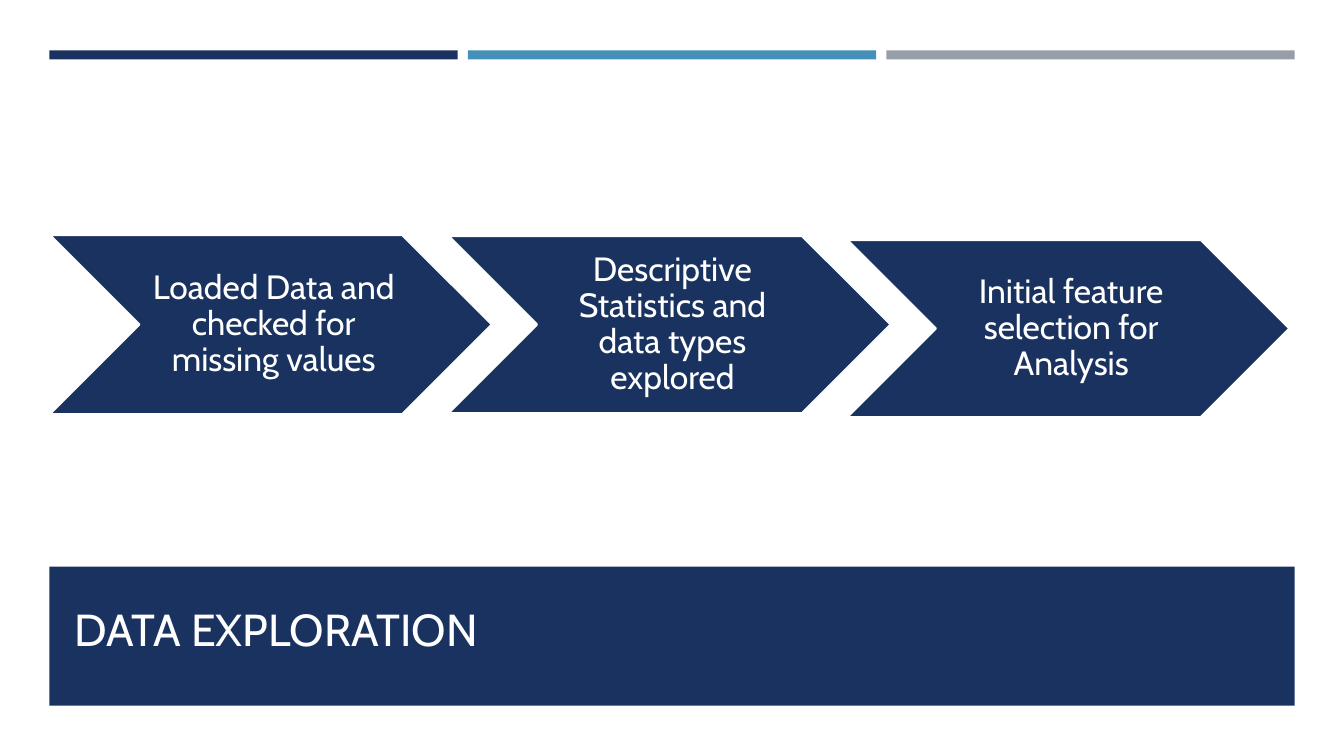
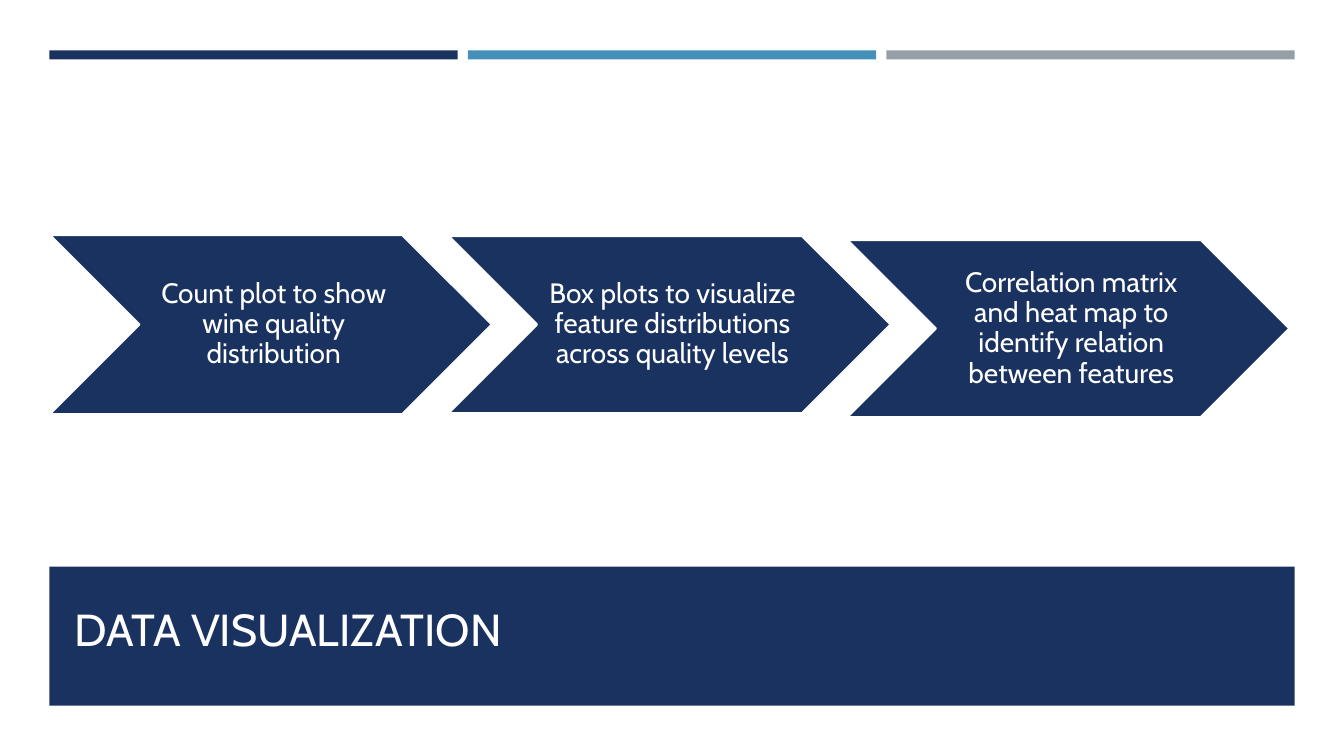
from pptx import Presentation
from pptx.dml.color import RGBColor
from pptx.enum.shapes import MSO_SHAPE
from pptx.enum.text import MSO_ANCHOR, MSO_AUTO_SIZE, PP_ALIGN
from pptx.util import Inches, Pt

RECT, CHEVRON = MSO_SHAPE.RECTANGLE, MSO_SHAPE.CHEVRON
MIDDLE, BOTTOM = MSO_ANCHOR.MIDDLE, MSO_ANCHOR.BOTTOM
LEFT, CENTER = PP_ALIGN.LEFT, PP_ALIGN.CENTER
NO_FIT = MSO_AUTO_SIZE.NONE

NAVY, BLUE, GRAY = "1A3260", "4590B8", "969FA7"
WHITE, CREAM = "FFFFFF", "FFFEFF"
FONT = "Cabin"

# Page grid in inches: three columns between equal margins
WIDE, HIGH = 13.33, 7.5
EDGE, GAP, COLS = 0.49, 0.1, 3
SPAN = WIDE - 2 * EDGE
COL = (SPAN - (COLS - 1) * GAP) / COLS

# Chevrons: even pitch, each row entry is (top, height)
STEP, ARROW = 3.955, 4.39
ROWS = [(2.33, 1.78), (2.34, 1.76), (2.38, 1.76)]

PAGES = [
    ("DATA EXPLORATION", 24, 0.04, [
        "Loaded Data and checked for missing values",
        "Descriptive Statistics and data types explored",
        "Initial feature selection for Analysis",
    ]),
    ("DATA VISUALIZATION", 20, 0.03, [
        "Count plot to show wine quality distribution",
        "Box plots to visualize feature distributions across quality levels",
        "Correlation matrix and heat map to identify relation between features",
    ]),
]


def color(code):
    return RGBColor.from_string(code)


class Deck:
    def __init__(self):
        self.prs = Presentation()
        self.prs.slide_width = Inches(WIDE)
        self.prs.slide_height = Inches(HIGH)
        self.slide = None

    def page(self, title):
        """Start a slide with the shared bars, band and title."""
        self.slide = self.prs.slides.add_slide(self.prs.slide_layouts[5])
        for col, fill in enumerate([NAVY, BLUE, GRAY]):
            self.shape(RECT, EDGE + col * (COL + GAP), 0.5, COL, 0.09, fill)
        self.title(title)

    def shape(self, kind, left, top, width, height, fill):
        box = self.slide.shapes.add_shape(
            kind, Inches(left), Inches(top), Inches(width), Inches(height))
        box.shadow.inherit = False
        box.fill.solid()
        box.fill.fore_color.rgb = color(fill)
        box.line.fill.background()
        return box

    def text(self, box, words, size, tint, align, anchor):
        frame = box.text_frame
        frame.text = words
        frame.word_wrap = True
        frame.auto_size = NO_FIT
        frame.vertical_anchor = anchor
        para = frame.paragraphs[0]
        para.alignment = align
        para.font.name = FONT
        para.font.size = Pt(size)
        para.font.color.rgb = color(tint)
        return frame

    def title(self, words):
        head = self.slide.shapes.title
        head.left, head.top = Inches(0.64), Inches(5.76)
        head.width, head.height = Inches(12.06), Inches(0.79)
        self.text(head, words, 32, CREAM, LEFT, BOTTOM)
        # The band lies behind the title
        band = self.shape(RECT, EDGE, 5.62, SPAN, 1.38, NAVY)
        head.element.addprevious(band.element)

    def arrow(self, col, words, size, inset):
        top, height = ROWS[col]
        box = self.shape(CHEVRON, EDGE + col * STEP, top, ARROW, height, NAVY)
        box.line.color.rgb = color(WHITE)
        box.line.width = Pt(1.75)
        frame = self.text(box, words, size, WHITE, CENTER, MIDDLE)
        frame.paragraphs[0].line_spacing = 0.9
        frame.margin_left = Inches(inset + 0.06)
        frame.margin_right = Inches(inset)
        frame.margin_top = frame.margin_bottom = Inches(inset)


def main():
    deck = Deck()
    for title, size, inset, steps in PAGES:
        deck.page(title)
        for col, words in enumerate(steps):
            deck.arrow(col, words, size, inset)
    deck.prs.save("out.pptx")


if __name__ == "__main__":
    main()
